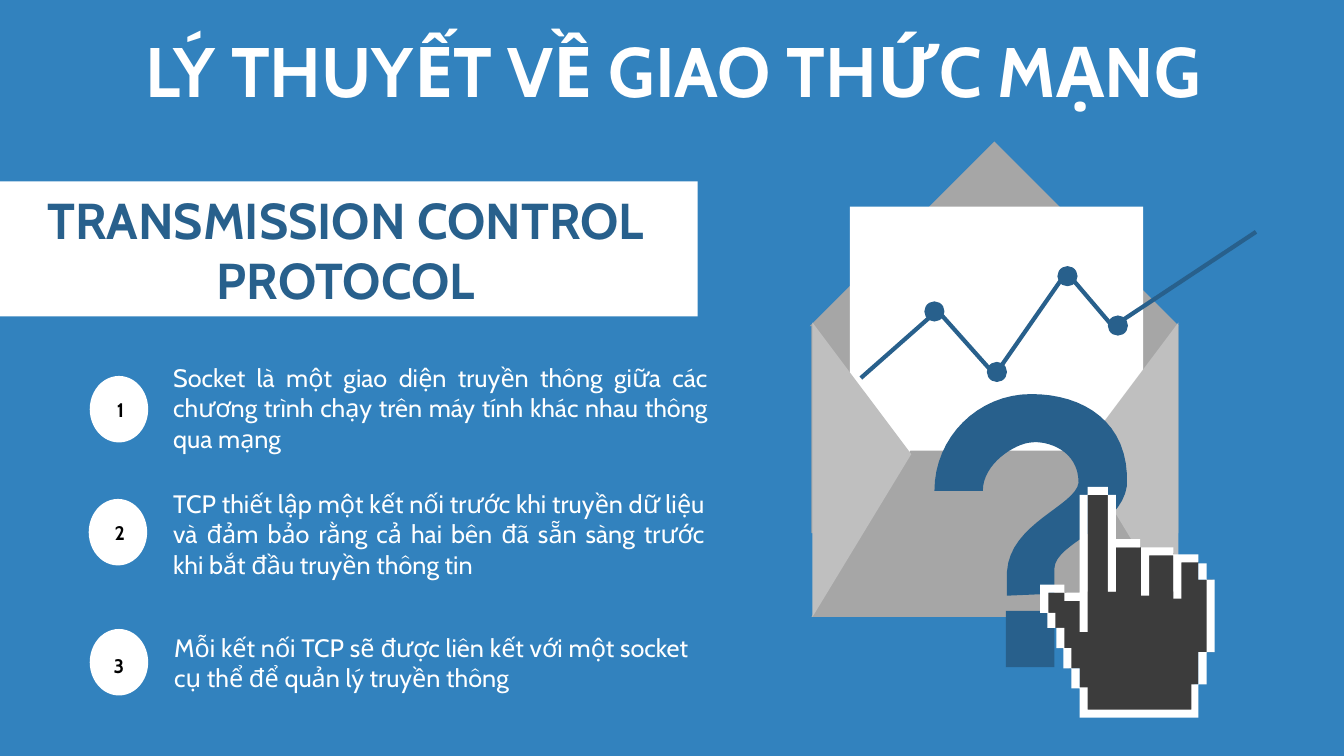
from pptx import Presentation
from pptx.dml.color import RGBColor
from pptx.enum.shapes import MSO_SHAPE
from pptx.enum.text import MSO_ANCHOR, PP_ALIGN
from pptx.util import Cm, Pt

RECT, OVAL = MSO_SHAPE.RECTANGLE, MSO_SHAPE.OVAL
TRI, RIGHT_TRI = MSO_SHAPE.ISOSCELES_TRIANGLE, MSO_SHAPE.RIGHT_TRIANGLE
TRAP = MSO_SHAPE.TRAPEZOID
CENTER, JUST = PP_ALIGN.CENTER, PP_ALIGN.JUSTIFY
FONT = "Cabin"
BLUE, NAVY, WHITE, BLACK = "3282BE", "28608C", "FFFFFF", "000000"
GRAY, SILVER, DARK = "A6A6A6", "BFBFBF", "3C3C3C"

# All places are in units of 2.54 cm: left, top, width, height
TITLE = "LÝ THUYẾT VỀ GIAO THỨC MẠNG"
HEAD = "TRANSMISSION CONTROL PROTOCOL"
# text, text box, oval corner, number corner
ITEMS = [
    ("Socket là một giao diện truyền thông giữa các chương trình chạy trên "
     "máy tính khác nhau thông qua mạng",
     (1.62, 3.54, 5.5, 1.01), (0.89, 3.73), (1.06, 3.94)),
    ("TCP thiết lập một kết nối trước khi truyền dữ liệu và đảm bảo rằng "
     "cả hai bên đã sẵn sàng trước khi bắt đầu truyền thông tin",
     (1.62, 4.79, 5.47, 1.01), (0.88, 4.95), (1.04, 5.16)),
    ("Mỗi kết nối TCP sẽ được liên kết với một socket cụ thể để quản lý "
     "truyền thông",
     (1.63, 6.22, 5.3, 0.71), (0.89, 6.24), (1.03, 6.48)),
]
# kind, box, colour, turn, adjustment
ENVELOPE = [
    (RECT, (8.05, 3.23, 3.64, 2.06), GRAY, 0, None),
    (RIGHT_TRI, (8.57, 1.94, 2.59, 2.59), GRAY, 135, None),
    (RECT, (8.43, 2.05, 2.91, 4.01), WHITE, 0, None),
    (TRAP, (8.05, 4.47, 3.66, 1.65), GRAY, 0, 0.595),
    (TRI, (7.09, 4.17, 2.92, 0.98), SILVER, 90, 0.447),
    (TRI, (9.74, 4.17, 2.92, 0.98), SILVER, 270, 0.553),
]
TREND = [(8.54, 3.75), (9.3, 3.08), (9.87, 3.72), (10.58, 2.7),
         (11.04, 3.24), (12.46, 2.3)]
DOTS = [(9.17, 2.99), (9.79, 3.59), (10.49, 2.64), (10.99, 3.13)]
# Each step is a line (one point) or a cubic curve (three points)
HOOK = [
    [(10.23, 3.91)],
    [(10.74, 3.91), (11.21, 4.18), (11.18, 4.82)],
    [(11.12, 5.24), (10.47, 5.38), (10.46, 5.64)],
    [(10.46, 5.89)], [(9.99, 5.91)],
    [(9.99, 5.83), (9.99, 5.75), (9.99, 5.67)],
    [(10.02, 5.19), (10.67, 5.02), (10.7, 4.79)],
    [(10.7, 4.46), (10.38, 4.37), (10.23, 4.39)],
    [(10.07, 4.4), (9.75, 4.6), (9.75, 4.87)],
    [(9.27, 4.87)],
    [(9.27, 4.34), (9.7, 3.91), (10.23, 3.91)],
]
HAND = [
    (10.79, 4.91), (10.99, 4.91), (10.99, 5.87), (11.07, 5.87), (11.07, 5.43),
    (11.32, 5.43), (11.32, 5.87), (11.39, 5.87), (11.39, 5.49), (11.64, 5.49),
    (11.64, 5.87), (11.65, 5.87), (11.65, 5.57), (11.89, 5.57), (11.89, 5.75),
    (12.03, 5.75), (12.03, 6.47), (11.89, 6.47), (11.89, 6.79), (11.85, 6.79),
    (11.85, 7.06), (10.76, 7.06), (10.76, 6.83), (10.71, 6.83), (10.71, 6.63),
    (10.61, 6.63), (10.61, 6.43), (10.51, 6.43), (10.51, 6.23), (10.43, 6.23),
    (10.43, 6.08), (10.33, 6.08), (10.33, 5.88), (10.58, 5.88), (10.58, 5.9),
    (10.68, 5.9), (10.68, 5.91), (10.76, 5.91), (10.76, 5.87), (10.79, 5.87),
]
# Bars round the hand: left, top, right, bottom
EDGE = [
    (10.79, 4.83, 10.99, 4.91), (10.99, 4.91, 11.07, 5.87),
    (11.07, 5.35, 11.31, 5.43), (11.32, 5.43, 11.4, 5.91),
    (11.4, 5.43, 11.64, 5.51), (11.64, 5.5, 11.72, 5.94),
    (11.72, 5.5, 11.89, 5.58), (11.89, 5.59, 11.97, 5.75),
    (11.97, 5.75, 12.05, 6.47), (11.89, 6.47, 11.97, 6.79),
    (11.82, 6.79, 11.89, 7.12), (10.79, 7.04, 11.82, 7.12),
    (10.71, 6.82, 10.79, 7.12), (10.63, 6.63, 10.71, 6.83),
    (10.55, 6.43, 10.63, 6.63), (10.48, 6.23, 10.56, 6.43),
    (10.39, 6.08, 10.47, 6.23), (10.32, 5.8, 10.4, 6.08),
    (10.4, 5.8, 10.56, 5.88), (10.56, 5.88, 10.71, 5.96),
    (10.71, 4.91, 10.79, 6.27),
]


def rgb(code):
    return RGBColor.from_string(code)


def units(nums):
    return [Cm(2.54 * n) for n in nums]


def paint(shape, color):
    shape.shadow.inherit = False
    shape.fill.solid()
    shape.fill.fore_color.rgb = rgb(color)
    shape.line.fill.background()


def block(tree, kind, box, color, turn=0, adj=None):
    shape = tree.add_shape(kind, *units(box))
    paint(shape, color)
    shape.rotation = turn
    if adj is not None:
        shape.adjustments[0] = adj


def outline(tree, loops, close=True):
    """Build one freeform from several point loops."""
    loops = [[units(p) for p in loop] for loop in loops]
    pen = tree.build_freeform(*loops[0][0], scale=1.0)
    for i, loop in enumerate(loops):
        if i:
            pen.move_to(*loop[0])
        pen.add_line_segments(loop[1:], close=close)
    return pen.convert_to_shape()


def curve(steps, count=16):
    """Turn lines and cubic curves into a list of points."""
    pts = []
    for step in steps:
        if len(step) == 1:
            pts += step
            continue
        ends = [pts[-1], *step]
        for i in range(1, count + 1):
            t = i / count
            u = 1 - t
            mix = (u**3, 3 * u * u * t, 3 * u * t * t, t**3)
            pts.append(tuple(sum(m * p[k] for m, p in zip(mix, ends))
                             for k in (0, 1)))
    return pts


def write(tree, text, box, size, color, align, bold=False, pad=(0.1, 0.05)):
    frame = tree.add_textbox(*units(box)).text_frame
    frame.word_wrap = True
    frame.vertical_anchor = MSO_ANCHOR.MIDDLE
    side, top = units(pad)
    frame.margin_left = frame.margin_right = side
    frame.margin_top = frame.margin_bottom = top
    para = frame.paragraphs[0]
    para.text, para.alignment = text, align
    font = para.font
    font.name, font.size, font.bold = FONT, Pt(size), bold
    font.color.rgb = rgb(color)
    return para


prs = Presentation()
prs.slide_width, prs.slide_height = units((13.333, 7.5))
slide = prs.slides.add_slide(prs.slide_layouts[6])
slide.background.fill.solid()
slide.background.fill.fore_color.rgb = rgb(BLUE)
page = slide.shapes

write(page, TITLE, (0.35, 0.37, 12.66, 0.79), 50, WHITE, CENTER,
      True).line_spacing = 0.8

mail = page.add_group_shape().shapes
for part in ENVELOPE:
    block(mail, *part)
trend = outline(mail, [TREND], close=False)
trend.shadow.inherit = False
trend.fill.background()
trend.line.color.rgb = rgb(NAVY)
trend.line.width = Pt(3)
for dot in DOTS:
    block(mail, OVAL, (*dot, 0.2, 0.2), NAVY)

query = page.add_group_shape().shapes
paint(outline(query, [curve(HOOK)]), NAVY)
block(query, RECT, (9.98, 6.06, 0.48, 0.56), NAVY)

hand = page.add_group_shape().shapes
paint(outline(hand, [HAND]), DARK)
bars = [[(l, t), (r, t), (r, b), (l, b)] for l, t, r, b in EDGE]
paint(outline(hand, bars), WHITE)

block(page, RECT, (0, 1.8, 6.92, 1.34), WHITE)
for num, (text, box, oval, spot) in enumerate(ITEMS, 1):
    block(page, OVAL, (*oval, 0.58, 0.66), WHITE)
    write(page, text, box, 18, WHITE, JUST)
    write(page, str(num), (*spot, 0.27, 0.24), 14, BLACK, CENTER, True,
          (0.1, 0))
write(page, HEAD, (-0.03, 1.87, 6.92, 1.21), 36, NAVY, CENTER, True, (0, 0))

prs.save("out.pptx")
